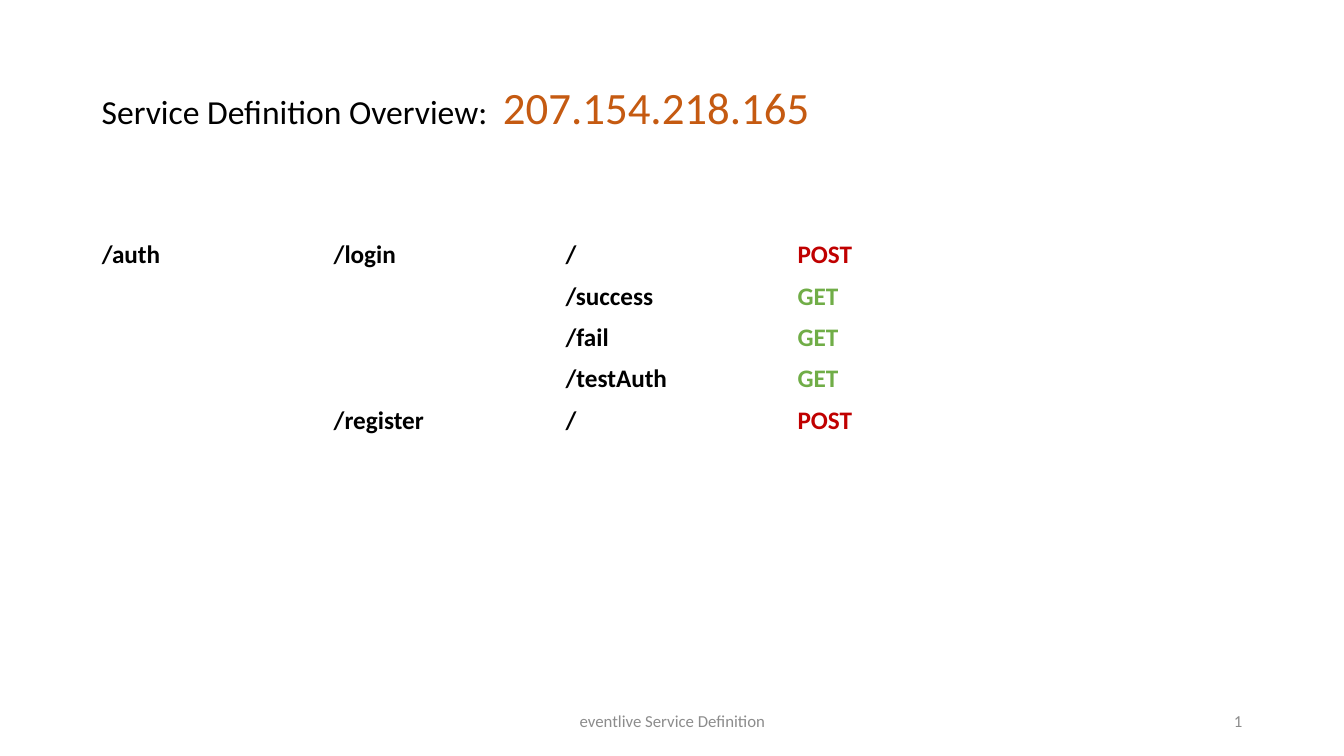
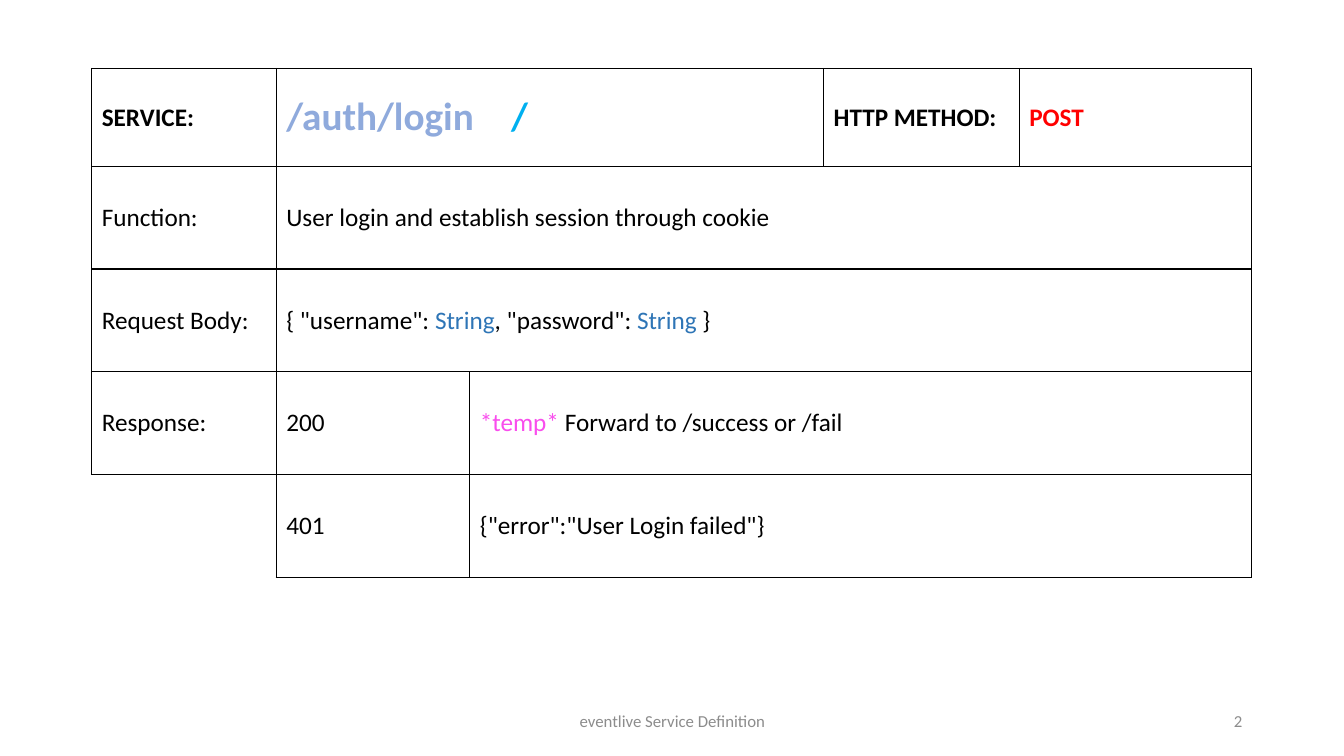
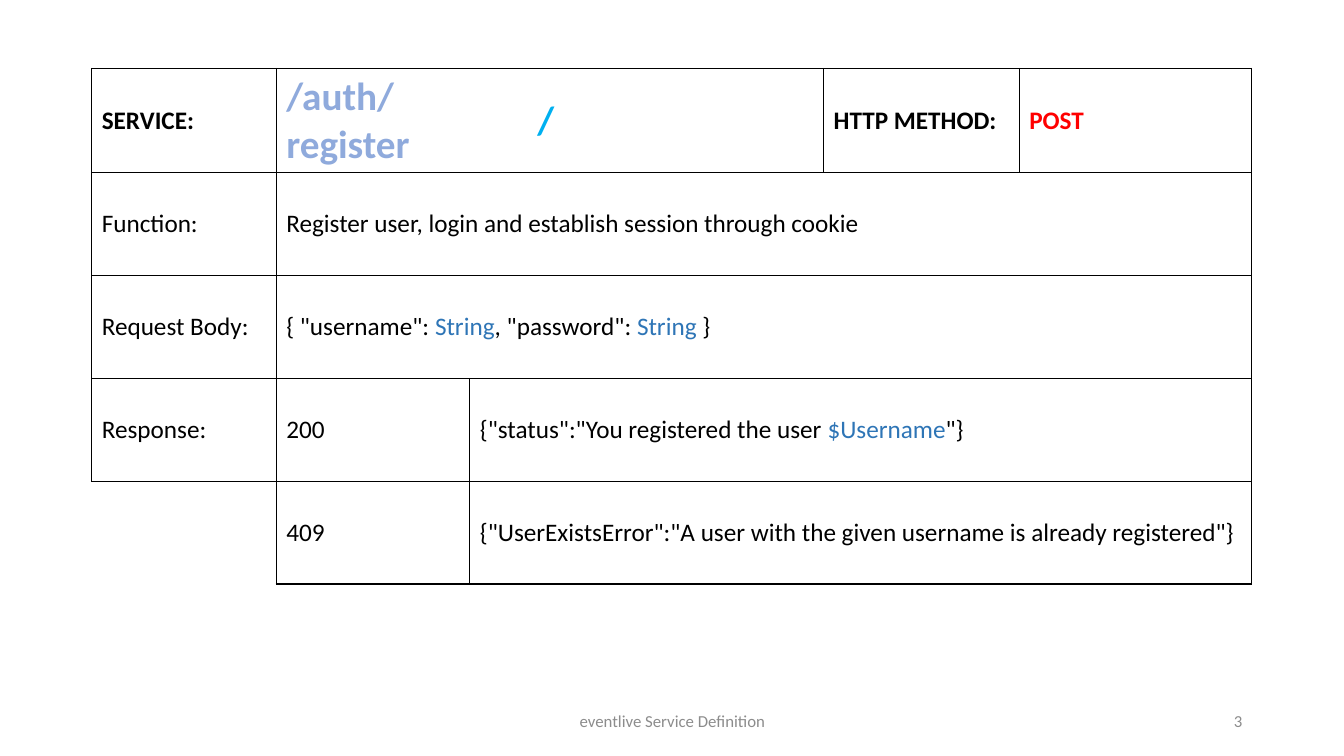
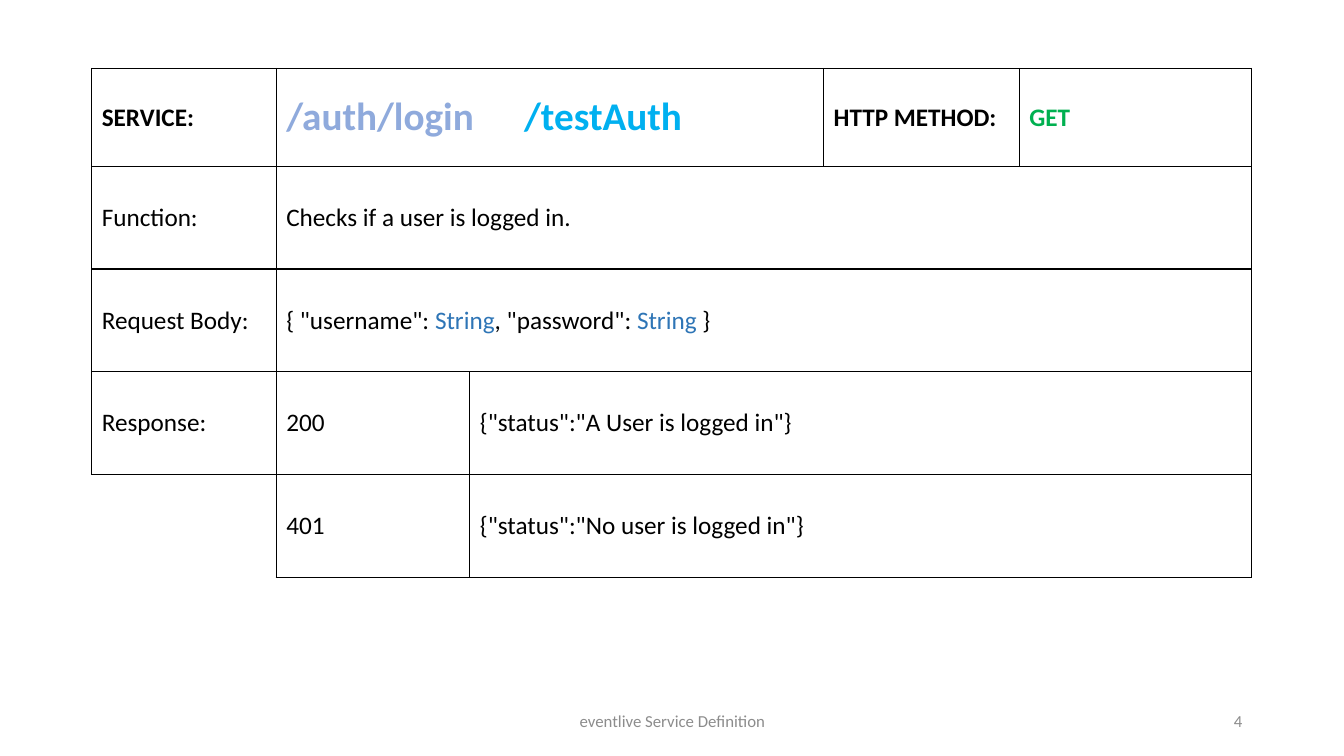
from lxml.etree import SubElement
from pptx import Presentation
from pptx.dml.color import RGBColor
from pptx.enum.text import MSO_ANCHOR, MSO_AUTO_SIZE, PP_ALIGN
from pptx.oxml.ns import qn
from pptx.util import Inches, Pt

FONT = "Calibri"
BLACK, WHITE, GREY = "000000", "FFFFFF", "8C8C8C"
BLUE, PINK, ORANGE = "2E75B6", "F94DED", "C55A11"
PATH_BLUE, ROUTE_BLUE = "8FAADC", "00B0F0"
OVERVIEW_METHODS = {"POST": "C00000", "GET": "70AD47"}
SERVICE_METHODS = {"POST": "FF0000", "GET": "00B050"}
FOOTER = "eventlive Service Definition"
LEFT = 0.91


def write(p, runs, size=18, bold=False):
    """Add (text, colour[, size]) runs to a paragraph."""
    for text, color, *own_size in runs:
        r = p.add_run()
        r.text = text
        r.font.name = FONT
        r.font.size = Pt(own_size[0] if own_size else size)
        r.font.bold = bold
        r.font.color.rgb = RGBColor.from_string(color)


def style_cell(cell, color, sides="LRTB", bottom=1):
    """Clear the fill of a cell and draw only the named borders."""
    tc_pr = cell._tc.get_or_add_tcPr()
    for side in "LRTB":
        width = bottom if side == "B" else 1
        ln = SubElement(tc_pr, qn(f"a:ln{side}"), w=str(Pt(width)))
        if side in sides:
            fill = SubElement(ln, qn("a:solidFill"))
            SubElement(fill, qn("a:srgbClr"), val=color)
        else:
            SubElement(ln, qn("a:noFill"))
    cell.fill.background()


prs = Presentation()
prs.slide_width, prs.slide_height = Inches(13.33), Inches(7.5)

# Footer and page number on every slide
for number in range(1, 5):
    s = prs.slides.add_slide(prs.slide_layouts[6])
    for left, width, text, align in [(4.42, 4.5, FOOTER, PP_ALIGN.CENTER),
                                     (9.42, 3, str(number), PP_ALIGN.RIGHT)]:
        tf = s.shapes.add_textbox(Inches(left), Inches(6.95), Inches(width), Inches(0.4)).text_frame
        tf.word_wrap = True
        tf.vertical_anchor = MSO_ANCHOR.MIDDLE
        p = tf.paragraphs[0]
        p.alignment = align
        write(p, [(text, GREY)], size=12)
overview, *service_slides = prs.slides

# Overview: title
tf = overview.shapes.add_textbox(Inches(LEFT), Inches(0.74), Inches(7.3), Inches(0.64)).text_frame
tf.word_wrap = False
tf.auto_size = MSO_AUTO_SIZE.SHAPE_TO_FIT_TEXT
p = tf.paragraphs[0]
tabs = SubElement(p._p.get_or_add_pPr(), qn("a:tabLst"))
SubElement(tabs, qn("a:tab"), pos=str(Inches(3.98)), algn="l")
write(p, [("Service Definition Overview:\t", BLACK, 24), ("207.154.218.165", ORANGE, 32)])

# Overview: routes and their methods, with a spare last row and column
ROUTES = [
    ("/auth", "/login", "/", "POST", ""),
    ("", "", "/success", "GET", ""),
    ("", "", "/fail", "GET", ""),
    ("", "", "/testAuth", "GET", ""),
    ("", "/register", "/", "POST", ""),
    ("", "", "", "", ""),
]
table = overview.shapes.add_table(len(ROUTES), 5, Inches(LEFT), Inches(2.33),
                                  Inches(11.5), Inches(2.43)).table
table.first_row = table.horz_banding = False
for col in table.columns:
    col.width = Inches(2.3)
for i, route in enumerate(ROUTES):
    table.rows[i].height = Inches(0.41)
    for j, text in enumerate(route):
        cell = table.cell(i, j)
        style_cell(cell, WHITE, bottom=3 if i == 0 else 1)
        if text:
            color = OVERVIEW_METHODS.get(text, BLACK)
            write(cell.text_frame.paragraphs[0], [(text, color)], bold=True)

# One slide per service: path, width of the gap column, route, method, function, responses
SERVICES = [
    ("/auth/login", 0.31, "/", "POST", "User login and establish session through cookie", [
        ("200", [("*temp* ", PINK), ("Forward to /success or /fail", BLACK)]),
        ("401", [('{"error":"User Login failed"}', BLACK)])]),
    ("/auth/register", 0.57, "/", "POST",
     "Register user, login and establish session through cookie", [
         ("200", [('{"status":"You registered the user ', BLACK), ("$Username", BLUE), ('"}', BLACK)]),
         ("409", [('{"UserExistsError":"A user with the given username is already registered"}', BLACK)])]),
    ("/auth/login", 0.44, "/testAuth", "GET", "Checks if a user is logged in.", [
        ("200", [('{"status":"A User is logged in"}', BLACK)]),
        ("401", [('{"status":"No user is logged in"}', BLACK)])]),
]
REQUEST = [('{ "username": ', BLACK), ("String", BLUE), (', "password": ', BLACK),
           ("String ", BLUE), ("}", BLACK)]
HEIGHTS = [0.97] + [1.02] * 4
BORDERS = {(0, 1): "LTB", (0, 2): "TB", (0, 3): "RTB", (4, 0): "RT"}

for s, (path_text, gap, route, method, function, responses) in zip(service_slides, SERVICES):
    widths = [1.83, 1.92, gap, 3.51 - gap, 1.94, 2.3]
    table = s.shapes.add_table(len(HEIGHTS), len(widths), Inches(LEFT), Inches(0.68),
                               Inches(sum(widths)), Inches(sum(HEIGHTS))).table
    table.first_row = table.horz_banding = False
    for col, width in zip(table.columns, widths):
        col.width = Inches(width)
    for row, height in zip(table.rows, HEIGHTS):
        row.height = Inches(height)
    for i in range(len(HEIGHTS)):
        for j in range(len(widths)):
            cell = table.cell(i, j)
            style_cell(cell, BLACK, BORDERS.get((i, j), "LRTB"))
            cell.vertical_anchor = MSO_ANCHOR.MIDDLE
    for i, first, last in [(0, 1, 2), (1, 1, 5), (2, 1, 5), (3, 2, 5), (4, 2, 5)]:
        table.cell(i, first).merge(table.cell(i, last))

    contents = {
        (0, 0): [("SERVICE:", BLACK)],
        (0, 1): [(path_text, PATH_BLUE, 28)],
        (0, 3): [(route, ROUTE_BLUE, 28)],
        (0, 4): [("HTTP METHOD:", BLACK)],
        (0, 5): [(method, SERVICE_METHODS[method])],
        (1, 0): [("Function:", BLACK)],
        (1, 1): [(function, BLACK)],
        (2, 0): [("Request Body:", BLACK)],
        (2, 1): REQUEST,
        (3, 0): [("Response:", BLACK)],
    }
    for i, (code, body) in enumerate(responses, start=3):
        contents[i, 1] = [(code, BLACK)]
        contents[i, 2] = body
    for (i, j), runs in contents.items():
        write(table.cell(i, j).text_frame.paragraphs[0], runs, bold=i == 0)

prs.save("out.pptx")
